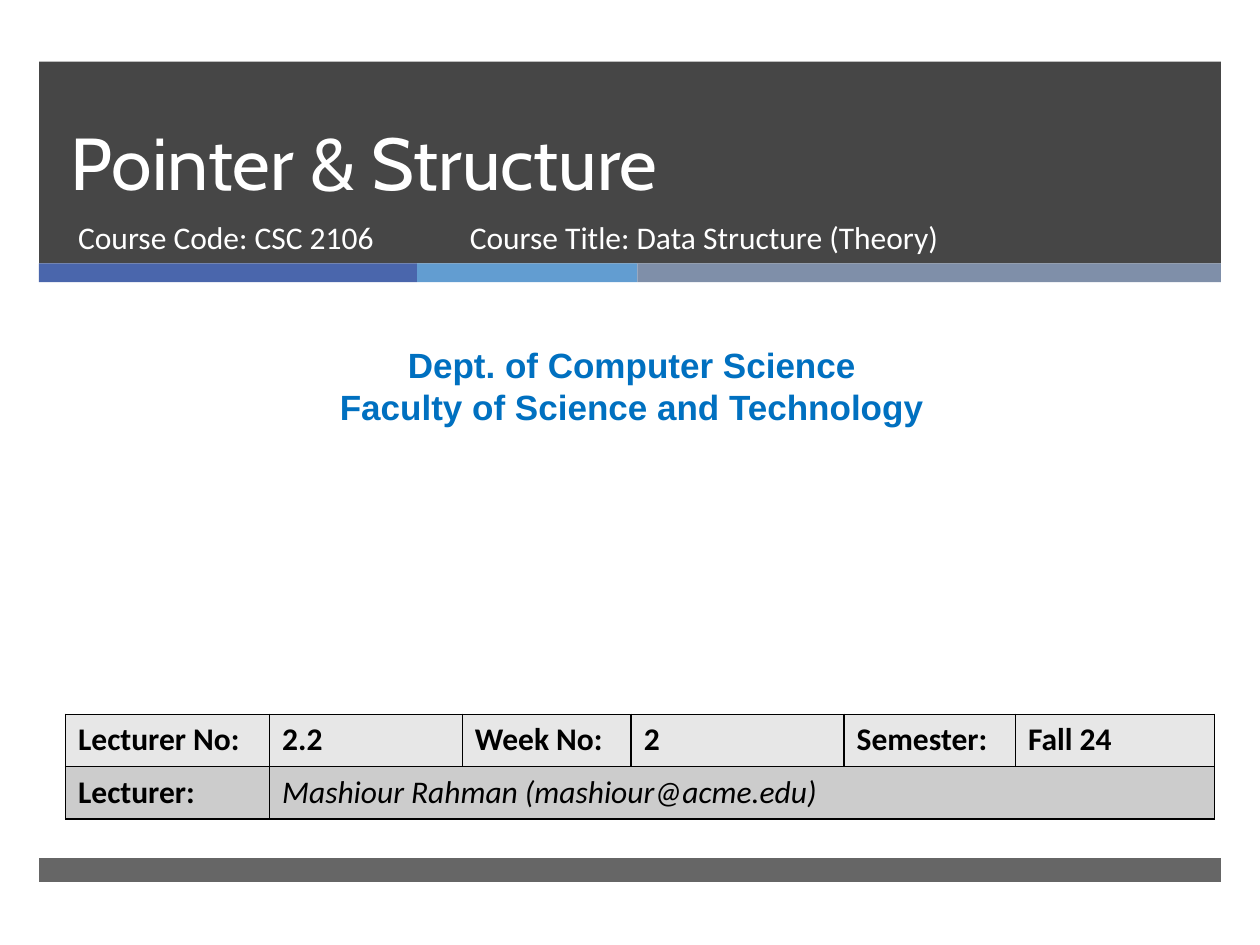
from pptx import Presentation
from pptx.dml.color import RGBColor
from pptx.enum.shapes import MSO_SHAPE as Shape
from pptx.enum.text import MSO_ANCHOR as Anchor, MSO_AUTO_SIZE as AutoSize, PP_ALIGN as Align
from pptx.oxml.ns import qn
from pptx.util import Inches, Pt
from lxml.etree import SubElement

WHITE = RGBColor(0xFF, 0xFF, 0xFF)
BLACK = RGBColor(0, 0, 0)
CHARCOAL = RGBColor(0x26, 0x26, 0x26)
INDIGO = RGBColor(0x4A, 0x66, 0xAC)
SKY = RGBColor(0x62, 0x9D, 0xD1)
SLATE = RGBColor(0x7F, 0x8F, 0xA9)
BLUE = RGBColor(0x00, 0x70, 0xC0)
PALE_GREY = RGBColor(0xE7, 0xE7, 0xE7)
MID_GREY = RGBColor(0xCC, 0xCC, 0xCC)

MARGIN, BAND_WIDTH = 0.31, 9.38


def place(shape, box):
    shape.left, shape.top, shape.width, shape.height = map(Inches, box)


def add_bar(page, box, color, opacity=100):
    bar = page.shapes.add_shape(Shape.RECTANGLE, *map(Inches, box))
    bar.shadow.inherit = False
    bar.line.fill.background()
    bar.fill.solid()
    bar.fill.fore_color.rgb = color
    if opacity < 100:
        tint = bar.fill._xPr.find(f"{qn('a:solidFill')}/{qn('a:srgbClr')}")
        SubElement(tint, qn("a:alpha"), val=str(opacity * 1000))


def write(frame, lines, font, size, color, align=Align.LEFT, anchor=Anchor.TOP,
          bold=False, italic=False):
    frame.text = "\n".join(lines)
    frame.word_wrap = True
    frame.vertical_anchor = anchor
    for para in frame.paragraphs:
        para.alignment = align
        para.space_before = Pt(0)
        for span in para.runs:
            span.font.name, span.font.size = font, Pt(size)
            span.font.bold, span.font.italic = bold, italic
            span.font.color.rgb = color


def add_header(page, box):
    left, top, width, height = box
    add_bar(page, box, CHARCOAL, 85)
    stripe_left = left
    for stripe_width, color in ((3, INDIGO), (1.75, SKY), (4.63, SLATE)):
        add_bar(page, (stripe_left, top + height, stripe_width, 0.15), color)
        stripe_left += stripe_width

    title = page.shapes.title
    place(title, (left + 0.15, top, 8.54, 1.19))
    write(title.text_frame, ["Pointer & Structure"], "Cabin", 42, WHITE, anchor=Anchor.BOTTOM)
    title.text_frame.paragraphs[0].line_spacing = Pt(46)
    title.text_frame.auto_size = AutoSize.NONE

    code = page.placeholders[1]
    course = page.shapes.add_textbox(0, 0, 0, 0)
    entries = ((code, 0.21, 3.05, "Course Code: CSC 2106"),
               (course, 3.32, 4.55, "Course Title: Data Structure (Theory)"))
    for shape, offset, entry_width, text in entries:
        place(shape, (left + offset, top + 1.19, entry_width, 0.53))
        write(shape.text_frame, [text], "Calibri", 18, WHITE)
        shape.text_frame.auto_size = AutoSize.NONE


def add_department(page, box):
    department = page.shapes.add_textbox(*map(Inches, box))
    write(department.text_frame,
          ["Dept. of Computer Science", "Faculty of Science and Technology"],
          "Arial", 20, BLUE, Align.CENTER, bold=True)


def outline(cell):
    properties = cell._tc.get_or_add_tcPr()
    for position, side in enumerate(("a:lnL", "a:lnR", "a:lnT", "a:lnB")):
        line = properties.makeelement(qn(side), {"w": str(Pt(1))})
        properties.insert(position, line)
        fill = SubElement(line, qn("a:solidFill"))
        SubElement(fill, qn("a:srgbClr"), val=str(BLACK))


def add_details(page, box):
    rows = (("Lecturer No:", "2.2", "Week No:", "2", "Semester:", "Fall 24"),
            ("Lecturer:", "Mashiour Rahman (mashiour@acme.edu)"))
    widths = (1.62, 1.53, 1.34, 1.69, 1.36, 1.58)
    table = page.shapes.add_table(len(rows), len(widths), *map(Inches, box)).table
    for column, width in zip(table.columns, widths):
        column.width = Inches(width)
    table.cell(1, 1).merge(table.cell(1, 5))
    for row, (texts, color) in enumerate(zip(rows, (PALE_GREY, MID_GREY))):
        for column in range(len(widths)):
            cell = table.cell(row, column)
            cell.fill.solid()
            cell.fill.fore_color.rgb = color
            outline(cell)
            if column < len(texts):
                is_name = (row, column) == (1, 1)
                write(cell.text_frame, [texts[column]], "Calibri", 18, BLACK,
                      bold=not is_name, italic=is_name)


def main():
    deck = Presentation()
    deck.slide_width, deck.slide_height = Inches(10), Inches(7.5)
    page = deck.slides.add_slide(deck.slide_layouts[0])
    add_header(page, (MARGIN, 0.49, BAND_WIDTH, 1.6))
    add_bar(page, (MARGIN, 6.81, BAND_WIDTH, 0.19), CHARCOAL, 70)
    add_department(page, (0.08, 2.68, 9.87, 0.77))
    add_details(page, (0.52, 5.67, 9.12, 0.83))

    tree = page.shapes._spTree
    for placeholder in list(page.placeholders):
        tree.append(placeholder._element)
    deck.save("out.pptx")


if __name__ == "__main__":
    main()
